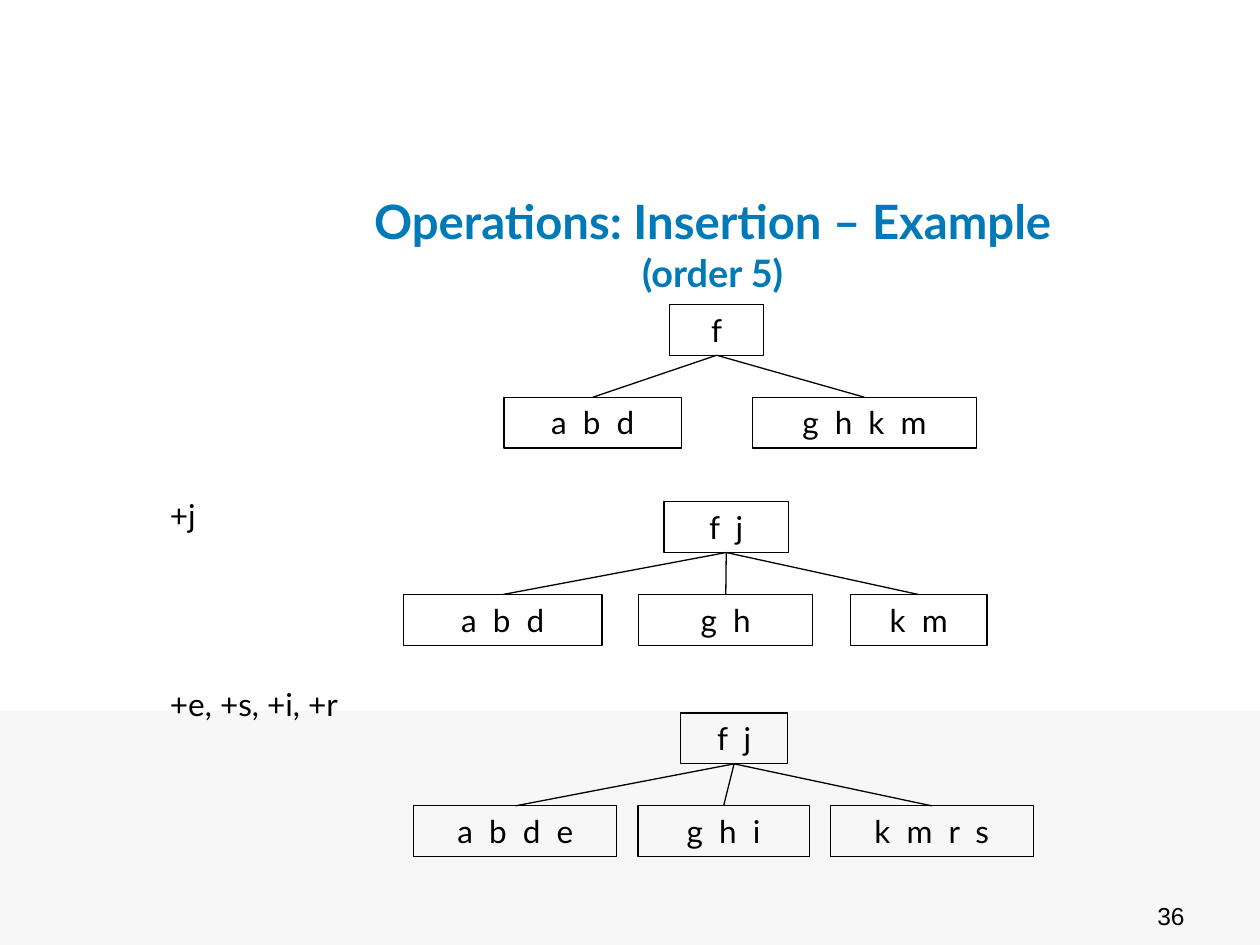
from typing import NamedTuple

from lxml import etree
from pptx import Presentation
from pptx.dml.color import RGBColor
from pptx.enum.shapes import MSO_CONNECTOR, MSO_SHAPE
from pptx.enum.text import MSO_ANCHOR, MSO_AUTO_SIZE, PP_ALIGN
from pptx.oxml.ns import qn
from pptx.util import Pt

LEFT, CENTER, RIGHT = PP_ALIGN.LEFT, PP_ALIGN.CENTER, PP_ALIGN.RIGHT
TOP, MIDDLE = MSO_ANCHOR.TOP, MSO_ANCHOR.MIDDLE
GROW, FIXED = MSO_AUTO_SIZE.SHAPE_TO_FIT_TEXT, MSO_AUTO_SIZE.NONE
RECTANGLE, STRAIGHT = MSO_SHAPE.RECTANGLE, MSO_CONNECTOR.STRAIGHT

COLORS = {"title": "0079B8", "ink": "000000", "band": "F7F7F7"}
NODE_HEIGHT = 29
LEVEL_STEP = 53
LINE_WIDTH = 0.75


class Node(NamedTuple):
    keys: str
    left: float
    width: float

    @property
    def center(self) -> float:
        return self.left + self.width / 2


class Tree(NamedTuple):
    top: float
    root: Node
    leaves: list[Node]


class Label(NamedTuple):
    text: str
    top: float
    width: float


TREES = [
    Tree(174, Node("f", 382.5, 54),
         [Node("a  b  d", 288, 101.5), Node("g  h  k  m", 430, 128)]),
    Tree(286.75, Node("f  j", 379.5, 71),
         [Node("a  b  d", 230.5, 113.5), Node("g  h", 365, 99.5),
          Node("k  m", 486, 78)]),
    Tree(407.5, Node("f  j", 389, 61),
         [Node("a  b  d  e", 236.5, 116), Node("g  h  i", 364.5, 98),
          Node("k  m  r  s", 474.5, 116)]),
]
INSERTIONS = [Label("+j", 280, 96), Label("+e, +s, +i, +r", 388, 135)]


def color(name: str) -> RGBColor:
    return RGBColor.from_string(COLORS[name])


def write(shape, *lines: str, sizes=(18,), font="Lato", ink="ink", bold=False,
          align=LEFT, anchor=TOP, fit=GROW) -> None:
    """Set the lines in one paragraph, each with its own size."""
    frame = shape.text_frame
    frame.word_wrap = True
    frame.auto_size = fit
    frame.vertical_anchor = anchor
    paragraph = frame.paragraphs[0]
    paragraph.alignment = align
    for index, (line, size) in enumerate(zip(lines, sizes)):
        if index:
            paragraph.add_line_break()
        run = paragraph.add_run()
        run.text = line
        run.font.size = Pt(size)
        run.font.name = font
        run.font.bold = bold
        run.font.color.rgb = color(ink)


def draw_node(slide, node: Node, top: float) -> None:
    box = slide.shapes.add_shape(RECTANGLE, Pt(node.left), Pt(top),
                                 Pt(node.width), Pt(NODE_HEIGHT))
    box.shadow.inherit = False
    box.fill.background()
    box.line.color.rgb = color("ink")
    box.line.width = Pt(LINE_WIDTH)
    write(box, node.keys, align=CENTER)


def draw_edge(slide, root: Node, leaf: Node, top: float) -> None:
    edge = slide.shapes.add_connector(
        STRAIGHT, Pt(root.center), Pt(top + NODE_HEIGHT),
        Pt(leaf.center), Pt(top + LEVEL_STEP))
    edge.line.color.rgb = color("ink")
    edge.line.width = Pt(LINE_WIDTH)
    etree.SubElement(edge._element.spPr, qn("a:effectLst"))


def draw_tree(slide, tree: Tree) -> None:
    draw_node(slide, tree.root, tree.top)
    for leaf in tree.leaves:
        draw_node(slide, leaf, tree.top + LEVEL_STEP)
        draw_edge(slide, tree.root, leaf, tree.top)


def main() -> None:
    deck = Presentation()
    deck.slide_width, deck.slide_height = Pt(720), Pt(540)
    slide = deck.slides.add_slide(deck.slide_layouts[5])

    band = slide.shapes.add_shape(RECTANGLE, 0, Pt(406), Pt(720), Pt(134))
    band.shadow.inherit = False
    band.fill.solid()
    band.fill.fore_color.rgb = color("band")
    band.line.fill.background()

    title = slide.shapes.title
    title.left, title.top = Pt(138), Pt(108)
    title.width, title.height = Pt(538.5), Pt(62.5)
    write(title, "Operations: Insertion – Example", "(order 5)",
          sizes=(27, 21.6), ink="title", bold=True, align=CENTER,
          anchor=MIDDLE, fit=FIXED)

    for tree in TREES:
        draw_tree(slide, tree)
    for label in INSERTIONS:
        box = slide.shapes.add_textbox(Pt(90), Pt(label.top),
                                       Pt(label.width), Pt(NODE_HEIGHT))
        write(box, label.text)

    page_number = slide.shapes.add_textbox(Pt(516), Pt(508.5), Pt(168), Pt(29))
    write(page_number, "36", sizes=(14,), font="Arial", align=RIGHT,
          anchor=MIDDLE, fit=FIXED)

    deck.save("out.pptx")


if __name__ == "__main__":
    main()
